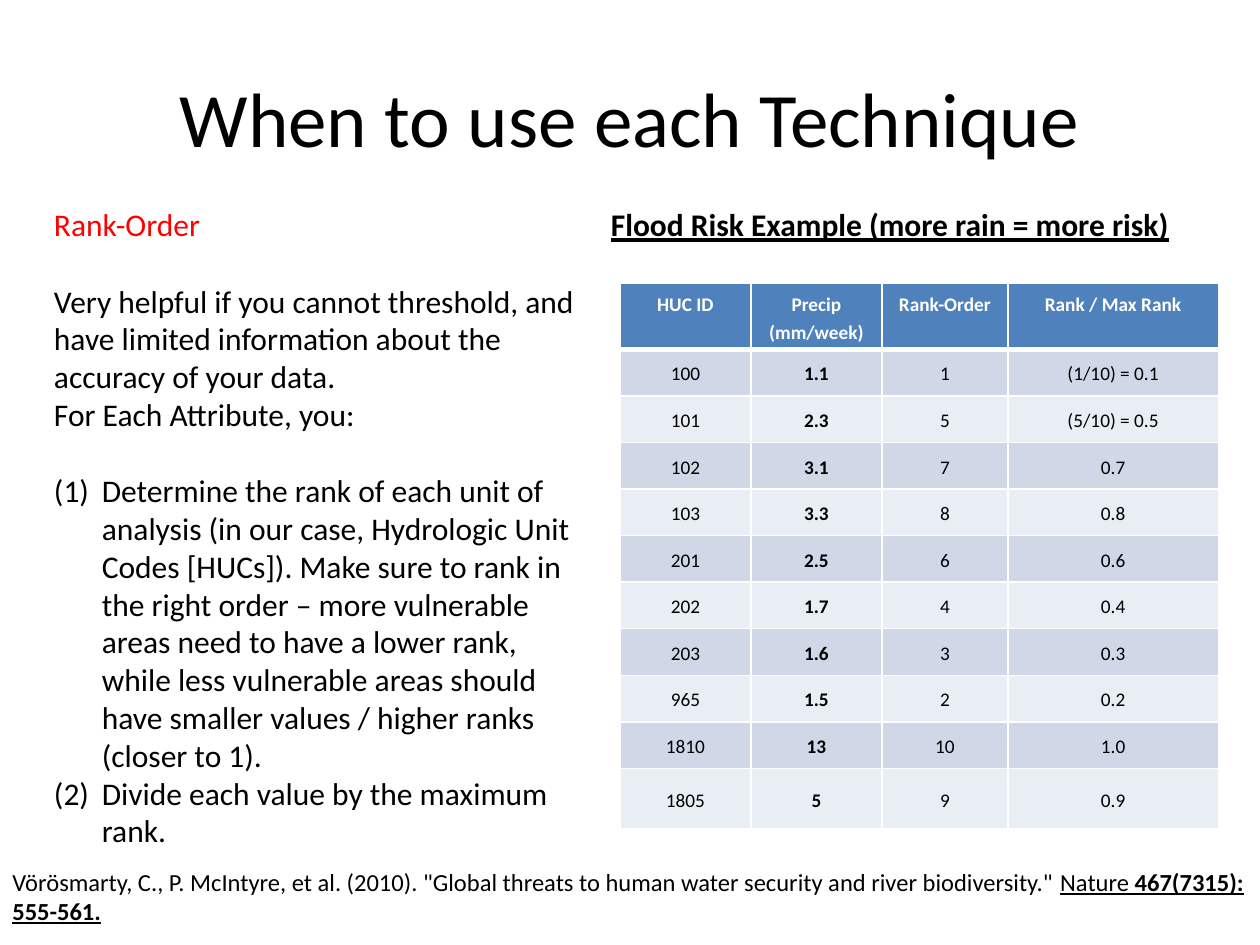
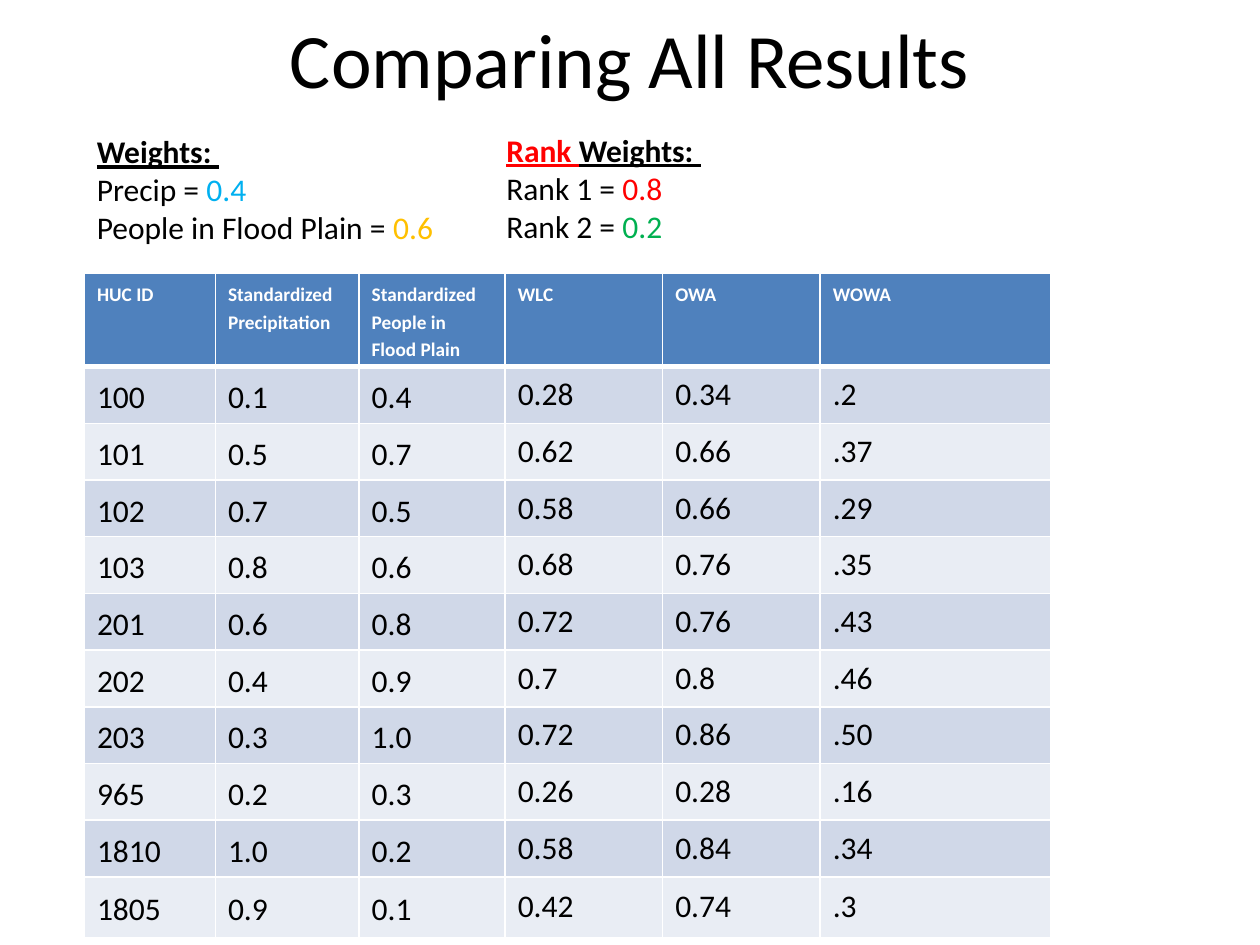
from lxml.etree import SubElement as Sub
from pptx import Presentation
from pptx.dml.color import RGBColor as Color
from pptx.enum.text import MSO_ANCHOR as Anchor, PP_ALIGN as Align
from pptx.oxml.ns import qn
from pptx.util import Inches, Pt

HUES = {
    "black": "000000", "white": "FFFFFF", "red": "FF0000", "sky": "00B0F0",
    "gold": "FFC000", "green": "00B050", "head": "4F81BD",
    "dark": "D0D8E8", "light": "E9EDF4",
}
FONT = "Calibri"


def hue(name):
    return Color.from_string(HUES[name])


def write(para, text, size=18, color="black", bold=False, under=False):
    run = para.add_run()
    run.text = text
    font = run.font
    font.name, font.size = FONT, Pt(size)
    font.bold, font.underline = bold, under
    font.color.rgb = hue(color)


class Deck:
    def __init__(self):
        self.show = Presentation()
        self.show.slide_width, self.show.slide_height = Inches(10), Inches(7.5)
        self.slide = None

    def page(self, title, top):
        self.slide = self.show.slides.add_slide(self.show.slide_layouts[6])
        frame = self.frame(0.5, top, 9, 1.25)
        frame.vertical_anchor = Anchor.MIDDLE
        frame.paragraphs[0].alignment = Align.CENTER
        write(frame.paragraphs[0], title, size=44)

    def frame(self, left, top, width, height):
        place = map(Inches, (left, top, width, height))
        frame = self.slide.shapes.add_textbox(*place).text_frame
        frame.word_wrap = True
        return frame

    def text(self, place, lines, size=18):
        frame = self.frame(*place)
        for i, line in enumerate(lines):
            para = frame.add_paragraph() if i else frame.paragraphs[0]
            for words, style in line:
                write(para, words, size=size, **style)
        return frame.paragraphs

    def number(self, para):
        props = para._p.get_or_add_pPr()
        props.set("marL", str(Inches(0.38)))
        props.set("indent", str(-Inches(0.38)))
        Sub(props, qn("a:buFont"), typeface="+mj-lt")
        Sub(props, qn("a:buAutoNum"), type="arabicParenBoth")

    def edge(self, cell, row):
        props = cell._tc.get_or_add_tcPr()
        thick = {"T": row == 1, "B": row == 0}
        for side in "LRTB":
            width = Pt(3 if thick.get(side) else 1)
            line = Sub(props, qn("a:ln" + side), w=str(width))
            fill = Sub(line, qn("a:solidFill"))
            Sub(fill, qn("a:srgbClr"), val=HUES["white"])

    def table(self, left, top, widths, heights, rows, size, align, bold=(), tight=()):
        place = map(Inches, (left, top, sum(widths), sum(heights)))
        grid = self.slide.shapes.add_table(len(rows), len(widths), *place).table
        grid.horz_banding = False
        for col, width in zip(grid.columns, widths):
            col.width = Inches(width)
        for r, (row, height) in enumerate(zip(rows, heights)):
            grid.rows[r].height = Inches(height)
            for c, words in enumerate(row):
                cell = grid.cell(r, c)
                self.edge(cell, r)
                cell.fill.solid()
                cell.fill.fore_color.rgb = hue(("dark" if r % 2 else "light") if r else "head")
                cell.vertical_anchor = Anchor.MIDDLE if r else Anchor.TOP
                para = cell.text_frame.paragraphs[0]
                para.alignment = align
                if r == 0 or c not in tight:
                    para.line_spacing, para.space_after = 1.15, Pt(10)
                if r:
                    write(para, words, size=size, bold=c in bold)
                else:
                    write(para, words, size=11, color="white", bold=True)


IDS = "100 101 102 103 201 202 203 965 1810 1805".split()
RAIN = "1.1 2.3 3.1 3.3 2.5 1.7 1.6 1.5 13 5".split()
RANKS = "1 5 7 8 6 4 3 2 10 9".split()
SHARES = [f"{int(rank) / 10:.1f}" for rank in RANKS]
STEPS = [f"({rank}/10) = {share}" if i < 2 else share
         for i, (rank, share) in enumerate(zip(RANKS, SHARES))]
PEOPLE = "0.4 0.7 0.5 0.6 0.8 0.9 1.0 0.3 0.2 0.1".split()
WLC = "0.28 0.62 0.58 0.68 0.72 0.7 0.72 0.26 0.58 0.42".split()
OWA = "0.34 0.66 0.66 0.76 0.76 0.8 0.86 0.28 0.84 0.74".split()
WOWA = ".2 .37 .29 .35 .43 .46 .50 .16 .34 .3".split()
STRONG = {"bold": True, "under": True}


def ranking(deck):
    deck.page("When to use each Technique", 0.3)
    deck.table(
        4.92, 2.25, [1.04, 1.04, 1, 1.67], [0.52] + [0.37] * 9 + [0.48],
        [["HUC ID", "Precip (mm/week)", "Rank-Order", "Rank / Max Rank"],
         *zip(IDS, RAIN, RANKS, STEPS)],
        size=11, align=Align.CENTER, bold=[1])
    paras = deck.text((0.33, 1.58, 4.42, 5.86), [
        [("Rank-Order", {"color": "red"})],
        [("Very helpful if you cannot threshold, and have limited information "
          "about the accuracy of your data.", {})],
        [("For Each Attribute, you:", {})],
        [("Determine the rank of each unit of analysis (in our case, Hydrologic "
          "Unit Codes [HUCs]). Make sure to rank in the right order – more "
          "vulnerable areas need to have a lower rank, while less vulnerable areas "
          "should have smaller values / higher ranks (closer to 1).", {})],
        [("Divide each value by the maximum rank.", {})],
    ])
    for para in paras[3:]:
        deck.number(para)
    for para in (paras[1], paras[3]):
        para.space_before = Pt(22)
    deck.text((4.75, 1.58, 4.75, 0.4),
              [[("Flood Risk Example (more rain = more risk)", STRONG)]])
    deck.text((0, 6.83, 10, 0.57), [[
        ("Vörösmarty, C., P. McIntyre, et al. (2010). \"Global threats to human "
         "water security and river biodiversity.\" ", {}),
        ("Nature ", {"under": True}),
        ("467(7315): 555-561.", STRONG),
    ]], size=14)


def results(deck):
    deck.page("Comparing All Results", -0.17)
    deck.table(
        0.67, 2.17, [1.04, 1.14, 1.16, 1.25, 1.25, 1.83], [0.74] + [0.45] * 9 + [0.48],
        [["HUC ID", "Standardized Precipitation", "Standardized People in Flood Plain",
          "WLC", "OWA", "WOWA"],
         *zip(IDS, SHARES, PEOPLE, WLC, OWA, WOWA)],
        size=18, align=Align.LEFT, tight=[3, 4, 5])
    deck.text((0.67, 1, 3.58, 1.01), [
        [("Weights: ", STRONG)],
        [("Precip = ", {}), ("0.4", {"color": "sky"})],
        [("People in Flood Plain = ", {}), ("0.6", {"color": "gold"})],
    ])
    deck.text((3.92, 0.99, 3.58, 1.01), [
        [("Rank ", {"color": "red", **STRONG}), ("Weights: ", STRONG)],
        [("Rank 1 = ", {}), ("0.8", {"color": "red"})],
        [("Rank 2 = ", {}), ("0.2", {"color": "green"})],
    ])


def main():
    deck = Deck()
    ranking(deck)
    results(deck)
    deck.show.save("out.pptx")


if __name__ == "__main__":
    main()
